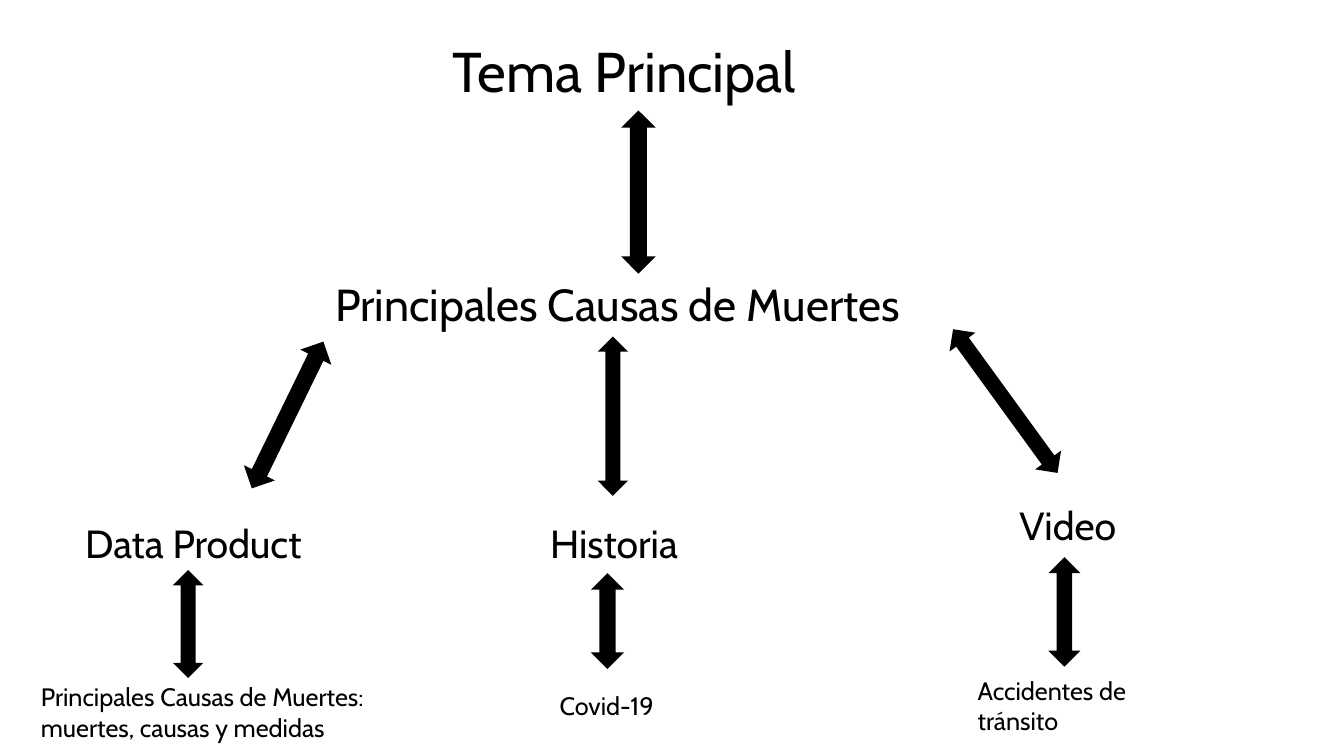
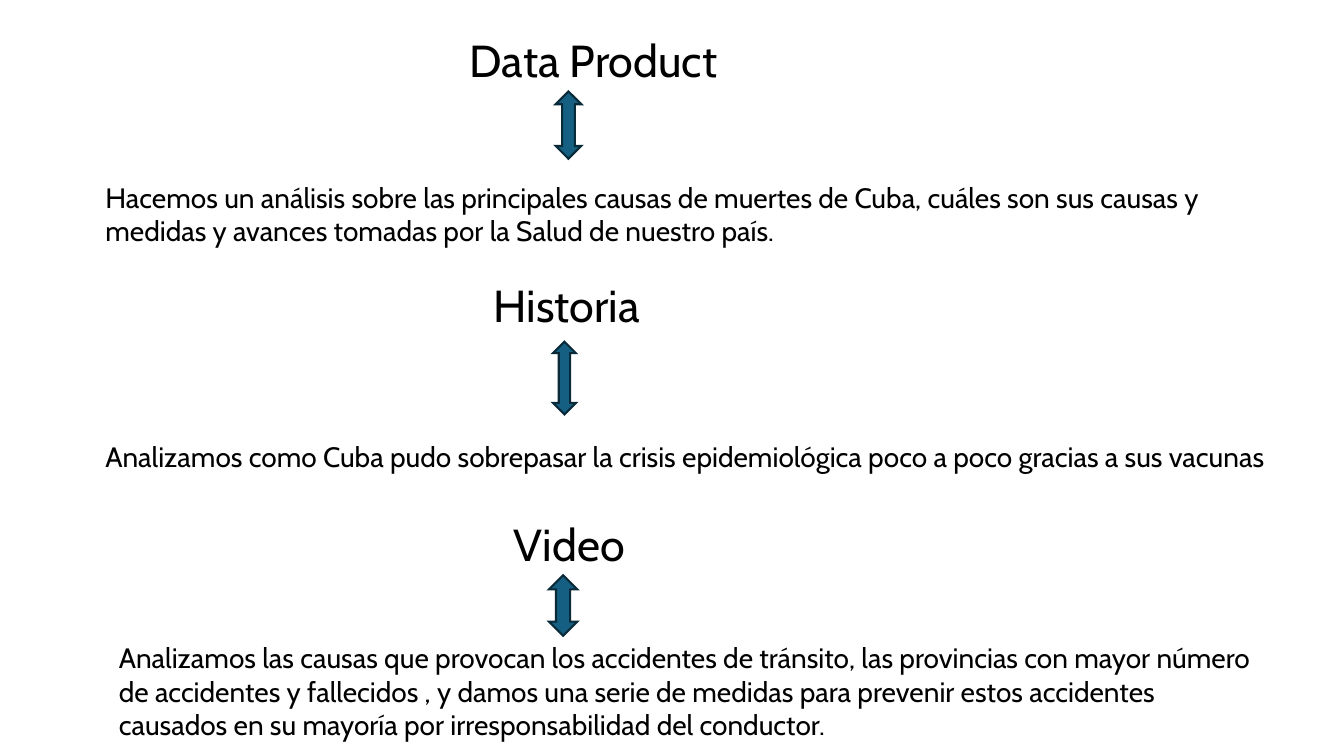
from lxml import etree
from pptx import Presentation
from pptx.dml.color import RGBColor
from pptx.enum.shapes import MSO_SHAPE
from pptx.enum.text import MSO_ANCHOR, MSO_AUTO_SIZE, PP_ALIGN
from pptx.oxml.ns import qn
from pptx.util import Inches, Pt

ARROW = MSO_SHAPE.UP_DOWN_ARROW
LEFT, TOP = PP_ALIGN.LEFT, MSO_ANCHOR.TOP
FIXED = MSO_AUTO_SIZE.NONE

WIDTH, HEIGHT = Inches(13.33), Inches(7.5)
FONT = "Cabin"
BLACK, TEAL, NAVY = "000000", "156082", "092A39"
HEAD, BODY = 32, 20
NODE, LEAF = 28, 18


def color(code):
    return RGBColor.from_string(code)


def across(share):
    return round(WIDTH * share / 100)


def down(share):
    return round(HEIGHT * share / 100)


def write(slide, text, x, y, w, size=BODY, lines=1, title=False):
    """Place text at shares of the slide in percent; lines sets the height."""
    spot = (across(x), down(y), across(w), Inches(0.1) + Pt(size * 1.215 * lines))
    if title:
        box = slide.shapes.title
        box.left, box.top, box.width, box.height = spot
    else:
        box = slide.shapes.add_textbox(*spot)
    frame = box.text_frame
    frame.word_wrap = True
    frame.auto_size = FIXED
    frame.vertical_anchor = TOP
    para = frame.paragraphs[0]
    para.alignment = LEFT
    run = para.add_run()
    run.text = text
    run.font.name = FONT
    run.font.size = Pt(size)
    run.font.color.rgb = color(BLACK)


def arrow(slide, mid, y, w, h, turn=0, fill=BLACK, line=BLACK):
    """Draw a double arrow centred on mid, in percent of the slide."""
    shape = slide.shapes.add_shape(
        ARROW, across(mid - w / 2), down(y), across(w), down(h))
    shape.rotation = turn
    shape.shadow.inherit = False
    shape.fill.solid()
    shape.fill.fore_color.rgb = color(fill)
    shape.line.color.rgb = color(line)
    shape.line.width = Pt(1.5)
    edge = shape._element.spPr.find(qn("a:ln"))
    etree.SubElement(edge, qn("a:miter"), lim="800000")


def tree(slide):
    write(slide, "Tema Principal", 32.9, 4.1, 30, size=40, title=True)
    write(slide, "Principales Causas de Muertes", 24.2, 36, 47.2, size=HEAD)
    for place in (
        (47.5, 14.8, 2.2, 21.2),
        (21.4, 44.3, 2.2, 21.2, 26),
        (45.6, 44.7, 1.9, 20.7),
        (74.8, 41.5, 2, 23.1, -36),
        (14, 75.6, 1.9, 13.9),
        (45.2, 76, 2.1, 12.3),
        (79.2, 73.9, 2, 14.1),
    ):
        arrow(slide, *place)
    for text, x, y in (
        ("Data Product", 5.6, 68),
        ("Historia", 40.2, 68),
        ("Video", 75.1, 65.7),
    ):
        write(slide, text, x, y, 18.6, size=NODE)
    for text, x, y, w, lines in (
        ("Principales Causas de Muertes: muertes, causas y medidas",
         2.3, 89.5, 29.3, 2),
        ("Covid-19", 40.9, 90.7, 12, 1),
        ("Accidentes de tránsito", 72, 88.7, 16.2, 2),
    ):
        write(slide, text, x, y, w, size=LEAF, lines=lines)


def detail(slide):
    parts = (
        (("Data Product", 34.2, 3.7), (42.3, 12.1, 1.9, 8.9),
         ("Hacemos un análisis sobre las principales causas de muertes de Cuba, "
          "cuáles son sus causas y medidas y avances tomadas por la Salud de "
          "nuestro país.", 7.1, 23.2, 85.9), 2),
        (("Historia", 36, 36.1), (42, 45.2, 1.7, 9.6),
         ("Analizamos como Cuba pudo sobrepasar la crisis epidemiológica poco a "
          "poco gracias a sus vacunas", 7.1, 57.5, 87.8), 2),
        (("Video", 37.5, 67.7), (41.9, 76.1, 2.1, 8),
         ("Analizamos las causas que provocan los accidentes de tránsito, las "
          "provincias con mayor número de accidentes y fallecidos , y damos una "
          "serie de medidas para prevenir estos accidentes causados en su mayoría "
          "por irresponsabilidad del conductor.", 8.1, 84.1, 86.7), 3),
    )
    for rank, (head, place, body, lines) in enumerate(parts):
        write(slide, *head, 25, size=HEAD, title=rank == 0)
        arrow(slide, *place, fill=TEAL, line=NAVY)
        write(slide, *body, lines=lines)


def main():
    deck = Presentation()
    deck.slide_width, deck.slide_height = WIDTH, HEIGHT
    layout = deck.slide_layouts.get_by_name("Title Only")
    for draw in (tree, detail):
        draw(deck.slides.add_slide(layout))
    deck.save("out.pptx")


if __name__ == "__main__":
    main()
